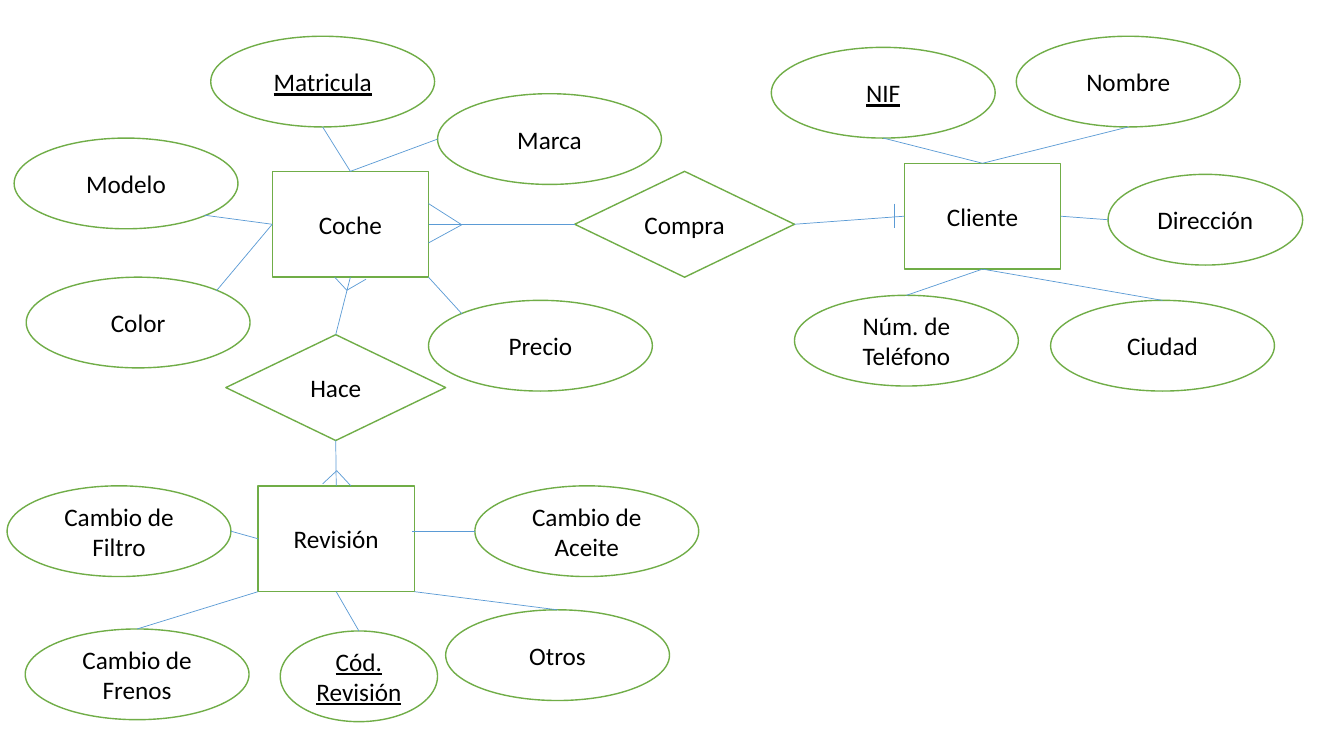
from dataclasses import dataclass

from lxml import etree
from pptx import Presentation
from pptx import util as u
from pptx.dml.color import RGBColor
from pptx.enum import shapes, text
from pptx.oxml.ns import qn


@dataclass(frozen=True)
class Theme:
    fill: RGBColor = RGBColor(0xFF, 0xFF, 0xFF)
    outline: RGBColor = RGBColor(0x70, 0xAD, 0x47)
    link: RGBColor = RGBColor(0x5B, 0x9B, 0xD5)
    ink: RGBColor = RGBColor(0, 0, 0)
    font: str = "Calibri"
    size: u.Pt = u.Pt(18)
    outline_width: u.Pt = u.Pt(1)
    link_width: u.Pt = u.Pt(0.5)


theme = Theme()
deck = Presentation()
deck.slide_width = u.Inches(13.33)
deck.slide_height = u.Inches(7.5)
page = deck.slides.add_slide(deck.slide_layouts[6])

KEYS = {"Matricula", "NIF", "Cód. Revisión"}

entities = {"Coche": (2.7, 1.7), "Cliente": (8.97, 1.62), "Revisión": (2.56, 4.82)}
relations = {"Compra": (5.7, 1.7), "Hace": (2.24, 3.32)}
attributes = {
    "Precio": (4.25, 2.98),
    "Color": (0.26, 2.75),
    "Modelo": (0.14, 1.37),
    "Matricula": (2.09, 0.36),
    "Marca": (4.34, 0.93),
    "NIF": (7.65, 0.47),
    "Nombre": (10.08, 0.36),
    "Dirección": (10.99, 1.73),
    "Ciudad": (10.42, 2.98),
    "Núm. de Teléfono": (7.88, 2.93),
    "Cambio de Filtro": (0.07, 4.82),
    "Cambio de Aceite": (4.71, 4.82),
    "Cambio de Frenos": (0.25, 6.24),
    "Otros": (4.42, 6.05),
    "Cód. Revisión": (2.78, 6.26),
}
special_widths = {"Dirección": 1.93, "Cód. Revisión": 1.56}

groups = [
    (entities, shapes.MSO_SHAPE.RECTANGLE, 1.55, 1.05),
    (relations, shapes.MSO_SHAPE.DIAMOND, 2.18, 1.05),
    (attributes, shapes.MSO_SHAPE.OVAL, 2.22, 0.9),
]

frames = {}
for group, kind, usual_width, height in groups:
    for name, (left, top) in group.items():
        width = special_widths.get(name, usual_width)
        frames[name] = (left, top, width, height)
        box = page.shapes.add_shape(kind, *map(u.Inches, frames[name]))
        box.shadow.inherit = False
        box.fill.solid()
        box.fill.fore_color.rgb = theme.fill
        box.line.color.rgb = theme.outline
        box.line.width = theme.outline_width
        box.text_frame.text = name
        box.text_frame.word_wrap = True
        box.text_frame.vertical_anchor = text.MSO_ANCHOR.MIDDLE
        para = box.text_frame.paragraphs[0]
        para.alignment = text.PP_ALIGN.CENTER
        span = para.runs[0]
        span.font.name = theme.font
        span.font.size = theme.size
        span.font.color.rgb = theme.ink
        if name in KEYS:
            span.font.underline = True

sides = {
    "top": (0.5, 0),
    "bottom": (0.5, 1),
    "left": (0, 0.5),
    "right": (1, 0.5),
    "bottom left corner": (0, 1),
    "bottom right corner": (1, 1),
    "upper left arc": (0.15, 0.15),
    "upper right arc": (0.85, 0.15),
    "lower right arc": (0.85, 0.85),
}


def anchor(name, side):
    left, top, width, height = frames[name]
    across, down = sides[side]
    return left + across * width, top + down * height


def draw_line(start, end):
    line = page.shapes.add_connector(
        shapes.MSO_CONNECTOR.STRAIGHT, *map(u.Inches, (*start, *end))
    )
    line.line.color.rgb = theme.link
    line.line.width = theme.link_width
    etree.SubElement(line._element.spPr, qn("a:effectLst"))


links = [
    ("Coche", "right", "Compra", "left"),
    ("Compra", "right", "Cliente", "left"),
    ("Coche", "bottom", "Hace", "top"),
    ("Hace", "bottom", "Revisión", "top"),
    ("Coche", "left", "Color", "upper right arc"),
    ("Coche", "left", "Modelo", "lower right arc"),
    ("Coche", "top", "Matricula", "bottom"),
    ("Coche", "top", "Marca", "left"),
    ("Coche", "bottom right corner", "Precio", "upper left arc"),
    ("Cliente", "top", "NIF", "bottom"),
    ("Cliente", "top", "Nombre", "bottom"),
    ("Cliente", "right", "Dirección", "left"),
    ("Cliente", "bottom", "Núm. de Teléfono", "top"),
    ("Cliente", "bottom", "Ciudad", "top"),
    ("Revisión", "left", "Cambio de Filtro", "right"),
    ("Revisión", "bottom left corner", "Cambio de Frenos", "top"),
    ("Revisión", "bottom", "Cód. Revisión", "top"),
    ("Revisión", "bottom right corner", "Otros", "top"),
]
for entity, entity_side, other, other_side in links:
    draw_line(anchor(entity, entity_side), anchor(other, other_side))

draw_line((4.09, 5.27), anchor("Cambio de Aceite", "left"))

crow_feet = [
    ((4.58, 2.23), (4.25, 2.02), (4.25, 2.41)),
    ((3.44, 2.88), (3.32, 2.75), (3.63, 2.77)),
    ((3.34, 4.67), (3.2, 4.8), (3.48, 4.82)),
]
for tip, *toes in crow_feet:
    for toe in toes:
        draw_line(tip, toe)

one_mark = ((8.87, 2.02), (8.87, 2.26))
draw_line(*one_mark)

deck.save("out.pptx")
